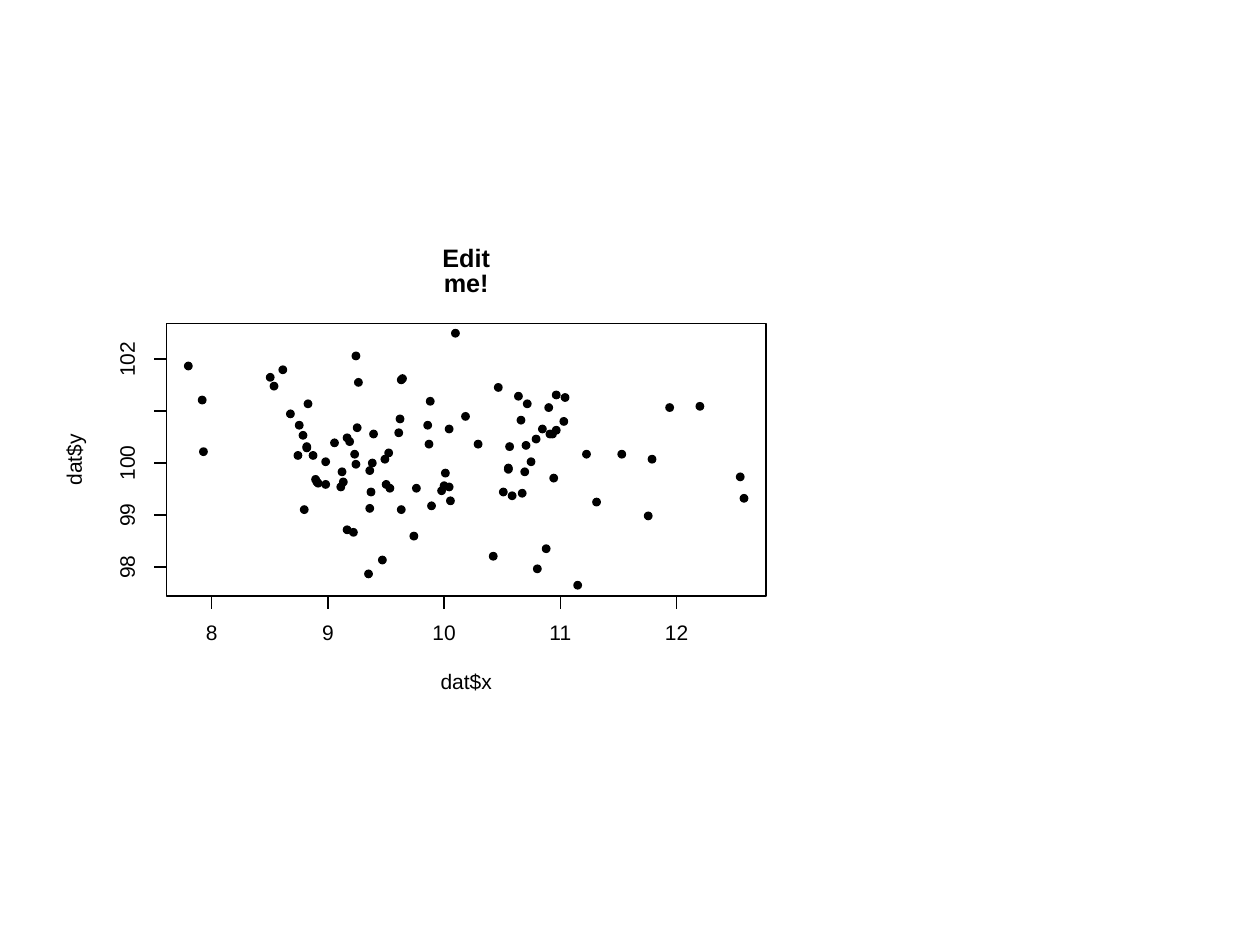
from dataclasses import dataclass
from typing import NamedTuple

from lxml.etree import SubElement
from pptx import Presentation
from pptx.dml.color import RGBColor
from pptx.enum.shapes import MSO_CONNECTOR as Connector, MSO_SHAPE as Preset
from pptx.enum.text import MSO_ANCHOR as Anchor, MSO_AUTO_SIZE as AutoSize, PP_ALIGN as Align
from pptx.oxml.ns import qn
from pptx.util import Inches, Pt


@dataclass(frozen=True)
class Theme:
    ink: RGBColor = RGBColor(0, 0, 0)
    paper: RGBColor = RGBColor(255, 255, 255)
    font: str = "Arial"
    title_size: float = 14.4
    label_size: float = 12
    rule: float = 0.75


class Box(NamedTuple):
    left: float
    top: float
    width: float
    height: float

    @property
    def right(self) -> float:
        return self.left + self.width

    @property
    def bottom(self) -> float:
        return self.top + self.height

    @property
    def centre(self) -> tuple[float, float]:
        return self.left + self.width / 2, self.top + self.height / 2

    def emu(self) -> list[int]:
        return [Inches(length) for length in self]


class Label(NamedTuple):
    wording: str
    x: float
    y: float
    width: float
    height: float = 0.12
    rotation: int = 0

    def box(self) -> Box:
        return Box(self.x - self.width / 2, self.y - self.height / 2, self.width, self.height)


class Axis(NamedTuple):
    labels: tuple[str, ...]
    first: float
    step: float

    def ticks(self) -> list[tuple[str, float]]:
        return [(label, self.first + i * self.step) for i, label in enumerate(self.labels)]


class Dot(NamedTuple):
    left: float
    top: float


THEME = Theme()
PANEL = Box(0.5, 1.75, 6, 4)
FRAME = Box(1.32, 2.57, 4.76, 2.16)
TICK, DIGIT, DOT = 0.1, 0.09, 0.07
X_AXIS = Axis(("8", "9", "10", "11", "12"), 1.68, 3.69 / 4)
Y_AXIS = Axis(("98", "99", "100", "", "102"), 4.5, -1.65 / 4)

# Observations, as the corner of each dot in inches
DOTS = [Dot(*corner) for corner in (
    (4.23, 4.48), (4.22, 3.45), (4.3, 4.32), (2.72, 4.17), (4.55, 4.61),
    (2.78, 3.57), (4.45, 3.12), (2.9, 4), (4, 3.69), (2.14, 3.03),
    (4.44, 3.31), (4.7, 3.95), (3.27, 3.84), (4.01, 3.51), (3.37, 3.49),
    (3.36, 3.34), (4.9, 3.57), (3.06, 3.84), (3.16, 2.97), (1.46, 2.87),
    (4.13, 3.71), (3.15, 2.98), (2.93, 3.41), (4, 3.68), (3.38, 3.15),
    (3.76, 3.49), (3.13, 3.4), (5.84, 3.75), (2.55, 3.81), (2.72, 3.44),
    (2.79, 3.65), (1.57, 3.14), (2.41, 3.17), (2.38, 4.01), (2.89, 4.52),
    (3.58, 2.61), (3.5, 3.72), (3.39, 3.98), (3.14, 3.29), (2.37, 3.42),
    (4.38, 3.1), (5.11, 4.06), (3.15, 4.01), (4.18, 3.63), (2.34, 3.34),
    (4.15, 3.17), (4.08, 3.11), (2.45, 3.58), (2.79, 2.79), (4.32, 3.2),
    (2.67, 3.83), (4.62, 3.57), (2.69, 3.79), (1.58, 3.55), (2.4, 3.52),
    (2.92, 3.64), (3.96, 3.87), (2.11, 2.96), (4.33, 3.41), (2.91, 3.87),
    (5.52, 3.19), (2.47, 3.77), (3.49, 3.82), (4.1, 3.3), (3.25, 4.22),
    (3.53, 3.83), (3.53, 3.37), (3.92, 3.04), (3.88, 4.38), (5.87, 3.92),
    (2.74, 3.47), (3.54, 3.94), (4.11, 3.88), (4.38, 3.38), (4.36, 3.76),
    (2.27, 3.25), (3, 4.41), (2.4, 3.51), (2.8, 3.36), (3.47, 3.86),
    (2.49, 3.8), (4.27, 3.37), (3.66, 3.27), (4.03, 3.9), (4.35, 3.41),
    (2.55, 3.63), (2.62, 3.48), (5.14, 3.61), (2.21, 2.9), (3.03, 3.81),
    (5.28, 3.2), (2.48, 3.79), (3.05, 3.56), (2.9, 3.7), (4.14, 3.5),
    (2.68, 3.71), (2.77, 4.19), (3.02, 3.61), (2.81, 3), (2.33, 3.58),
)]


def draw_shape(shapes, preset: Preset, box: Box,
               fill: RGBColor | None = None, line: RGBColor | None = None) -> None:
    shape = shapes.add_shape(preset, *box.emu())
    shape.shadow.inherit = False
    for part, colour in ((shape.fill, fill), (shape.line.fill, line)):
        if colour is None:
            part.background()
        else:
            part.solid()
            part.fore_color.rgb = colour
    if line is not None:
        shape.line.width = Pt(THEME.rule)


def draw_line(shapes, x1: float, y1: float, x2: float, y2: float) -> None:
    rule = shapes.add_connector(Connector.STRAIGHT, *(Inches(v) for v in (x1, y1, x2, y2)))
    rule.line.color.rgb = THEME.ink
    rule.line.width = Pt(THEME.rule)
    SubElement(rule._element.spPr, qn("a:effectLst"))


def write(holder, label: Label, size: float, bold: bool = False) -> None:
    holder.left, holder.top, holder.width, holder.height = label.box().emu()
    holder.rotation = label.rotation
    frame = holder.text_frame
    frame.margin_left = frame.margin_right = frame.margin_top = frame.margin_bottom = 0
    frame.word_wrap = False
    frame.auto_size = AutoSize.NONE
    frame.vertical_anchor = Anchor.MIDDLE
    paragraph = frame.paragraphs[0]
    paragraph.alignment = Align.CENTER
    paragraph.line_spacing = Pt(size)
    paragraph.space_before = Pt(0)
    run = paragraph.add_run()
    run.text = label.wording
    run.font.name, run.font.size, run.font.bold = THEME.font, Pt(size), bold
    run.font.color.rgb = THEME.ink


def draw_label(shapes, label: Label) -> None:
    write(shapes.add_textbox(*label.box().emu()), label, THEME.label_size)


def draw_x_axis(shapes) -> None:
    ticks = X_AXIS.ticks()
    draw_line(shapes, ticks[0][1], FRAME.bottom, ticks[-1][1], FRAME.bottom)
    for value, x in ticks:
        draw_line(shapes, x, FRAME.bottom, x, FRAME.bottom + TICK)
        draw_label(shapes, Label(value, x, 5.03, DIGIT * len(value)))


def draw_y_axis(shapes) -> None:
    ticks = Y_AXIS.ticks()
    draw_line(shapes, FRAME.left, ticks[0][1], FRAME.left, ticks[-1][1])
    for value, y in ticks:
        draw_line(shapes, FRAME.left, y, FRAME.left - TICK, y)
        if value:
            draw_label(shapes, Label(value, 1.02, y, DIGIT * len(value), rotation=270))


deck = Presentation()
deck.slide_width, deck.slide_height = Inches(10), Inches(7.5)
slide = deck.slides.add_slide(deck.slide_layouts[5])
plot = slide.shapes.add_group_shape().shapes
middle_x, middle_y = FRAME.centre

# Panel and observations
draw_shape(plot, Preset.RECTANGLE, PANEL, THEME.paper, THEME.paper)
for dot in DOTS:
    draw_shape(plot, Preset.OVAL, Box(*dot, DOT, DOT), THEME.ink)

# Axes and frame
draw_x_axis(plot)
draw_y_axis(plot)
draw_shape(plot, Preset.RECTANGLE, FRAME, line=THEME.ink)

# Axis names
draw_label(plot, Label("dat$x", middle_x, 5.42, 0.41, 0.15))
draw_label(plot, Label("dat$y", 0.6, middle_y, 0.41, 0.17, 270))

# Title, raised above the panel
title = slide.shapes.title
write(title, Label("Edit me!", middle_x, 2.16, 0.77, 0.14), THEME.title_size, bold=True)
slide.shapes._spTree.append(title._element)

deck.save("out.pptx")
